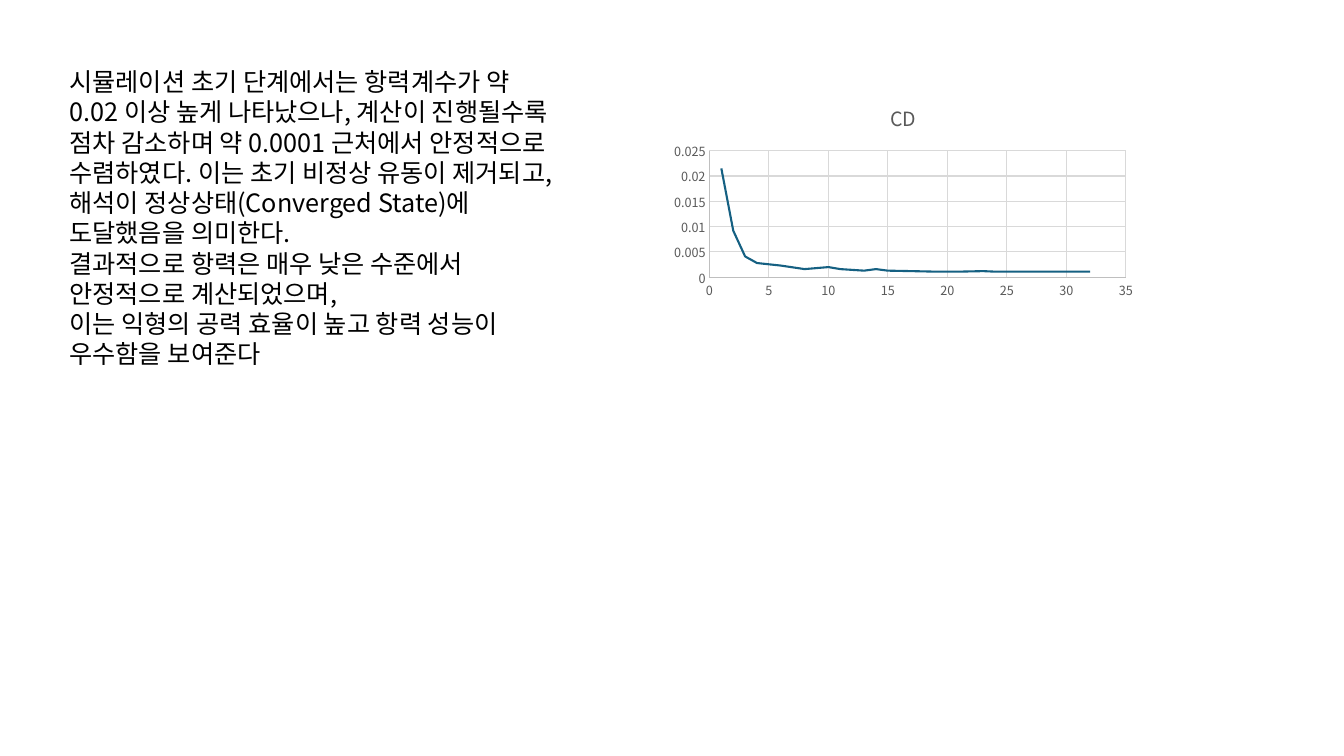
import pptx
import pptx.chart.data
import pptx.dml.color
import pptx.enum.chart
import pptx.enum.text
import pptx.oxml
import pptx.oxml.ns
import pptx.util
from pptx.util import Inches

FONT = "Noto Sans CJK KR"


def color(value):
    return pptx.dml.color.RGBColor.from_string(value)


def style(font, size, value):
    font.name = FONT
    font.size = pptx.util.Pt(size)
    font.bold = False
    font.color.rgb = color(value)
    east_asian = pptx.oxml.parse_xml(
        f'<a:ea {pptx.oxml.ns.nsdecls("a")} typeface="{FONT}"/>')
    font._element.find(pptx.oxml.ns.qn("a:latin")).addnext(east_asian)


presentation = pptx.Presentation()
presentation.slide_width = Inches(13.33)
presentation.slide_height = Inches(7.5)
slide = presentation.slides.add_slide(presentation.slide_layouts[6])

findings = [
    "시뮬레이션 초기 단계에서는 항력계수가 약 0.02 이상 높게 나타났으나, 계산이 "
    "진행될수록 점차 감소하며 약 0.0001 근처에서 안정적으로 수렴하였다. 이는 초기 "
    "비정상 유동이 제거되고, 해석이 정상상태(Converged State)에 도달했음을 의미한다.",
    "결과적으로 항력은 매우 낮은 수준에서 안정적으로 계산되었으며,\v"
    "이는 익형의 공력 효율이 높고 항력 성능이 우수함을 보여준다",
]
explanation = slide.shapes.add_textbox(
    Inches(0.59), Inches(0.61), Inches(5.05), Inches(3.43)).text_frame
explanation.word_wrap = True
explanation.auto_size = pptx.enum.text.MSO_AUTO_SIZE.SHAPE_TO_FIT_TEXT
for index, finding in enumerate(findings):
    paragraph = explanation.paragraphs[0] if index == 0 else explanation.add_paragraph()
    paragraph.text = finding
    paragraph.line_spacing = pptx.util.Pt(21.6)
    style(paragraph.font, 18, "000000")

iterations = [1, 2, 3, 4, 6, 8, 10, 11, 13, 14, 15, 17, 19, 21, *range(23, 33)]
drag_coefficients = [
    0.0215, 0.0092, 0.0041, 0.0028, 0.0023, 0.0016, 0.002, 0.0016,
    0.0013, 0.0016, 0.0013, 0.0012, 0.0011, 0.0011, 0.0012,
] + [0.0011] * 9
convergence = pptx.chart.data.XyChartData()
drag = convergence.add_series("CD")
for iteration, coefficient in zip(iterations, drag_coefficients):
    drag.add_data_point(iteration, coefficient)

chart = slide.shapes.add_chart(
    pptx.enum.chart.XL_CHART_TYPE.XY_SCATTER_SMOOTH_NO_MARKERS,
    Inches(6.59), Inches(0.87), Inches(4.74), Inches(2.14), convergence).chart
style(chart.font, 10, "000000")
chart.has_legend = False
chart.has_title = True
chart_title = chart.chart_title.text_frame.paragraphs[0]
chart_title.text = "CD"
style(chart_title.font, 14, "595959")
chart.plots[0].vary_by_categories = False

for axis, maximum, step in [
    (chart.category_axis, 35, 5),
    (chart.value_axis, 0.025, 0.005),
]:
    axis.minimum_scale = 0
    axis.maximum_scale = maximum
    axis.major_unit = step
    axis.major_tick_mark = pptx.enum.chart.XL_TICK_MARK.NONE
    axis.minor_tick_mark = pptx.enum.chart.XL_TICK_MARK.NONE
    axis.has_major_gridlines = True
    axis.tick_labels.number_format = "General"
    axis.tick_labels.number_format_is_linked = False
    style(axis.tick_labels.font, 9, "595959")
    for line, line_color in [
        (axis.format.line, "BFBFBF"),
        (axis.major_gridlines.format.line, "D9D9D9"),
    ]:
        line.color.rgb = color(line_color)
        line.width = pptx.util.Pt(0.75)

drag_curve = chart.plots[0].series[0]
drag_curve.smooth = True
drag_curve.marker.style = pptx.enum.chart.XL_MARKER_STYLE.NONE
drag_curve.format.line.color.rgb = color("156082")
drag_curve.format.line.width = pptx.util.Pt(1.5)

presentation.save("out.pptx")
